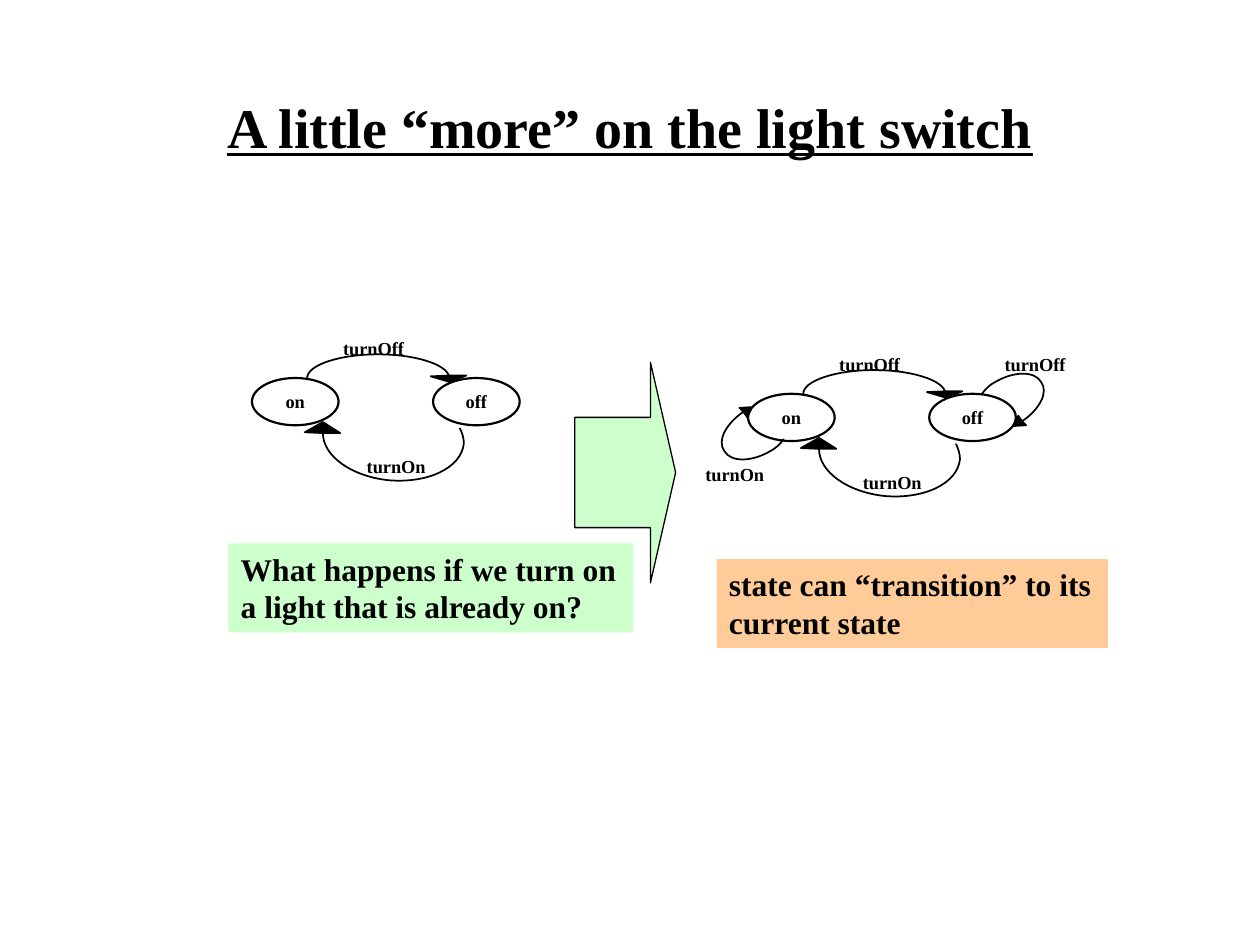
from pptx import Presentation
from pptx import util as u
from pptx.dml.color import RGBColor
from pptx.enum import shapes, text
from pptx.oxml import ns, xmlchemy

BLACK = RGBColor(0x00, 0x00, 0x00)
WHITE = RGBColor(0xFF, 0xFF, 0xFF)
GREEN = RGBColor(0xCC, 0xFF, 0xCC)
ORANGE = RGBColor(0xFF, 0xCC, 0x99)
FONT = "Times New Roman"

# The slide is a grid of 160 columns by 120 rows
CELL = u.Inches(1 / 16)
STATE_SIZE = (11, 6)
LABEL_SIZE = (11, 4.5)

# Each transition: a start, Bezier segments away from it, and the arrowhead there
TURN_OFF = (
    [(57, 47.7), (56.5, 46.2), (52.6, 45), (48, 45), (43, 45), (39, 46.4), (39, 48)],
    [(59.2, 47.7), (57.1, 48.5), (54.7, 47.8)],
)
TURN_ON = (
    [(41, 55), (41, 57.9), (44.6, 60.5), (49.4, 61), (54.4, 61.4), (58.6, 59.4),
     (58.9, 56.3), (58.9, 55.7), (58.7, 55), (58.4, 54.4)],
    [(38.7, 54.9), (41, 53.6), (43.2, 55)],
)
STAY_ON = (
    [(94.4, 52.3), (92.2, 53.8), (91, 56), (92, 57.3), (92.8, 58.7), (95.4, 58.7),
     (97.8, 57.3), (98.4, 57), (99, 56.5), (99.5, 55.8)],
    [(93.9, 51.8), (95.5, 51.7), (94.9, 53)],
)


def cells(*values):
    return [round(value * CELL) for value in values]


def write(shape, lines, size, align=None):
    frame = shape.text_frame
    frame.text = "\n".join(lines)
    for paragraph in frame.paragraphs:
        paragraph.alignment = align
        paragraph.font.name = FONT
        paragraph.font.size = u.Pt(size)
        paragraph.font.bold = True
        paragraph.font.color.rgb = BLACK
    return frame


def add_title(slide, title):
    shape = slide.shapes.title
    shape.left, shape.top, shape.width, shape.height = cells(12, 10.7, 136, 10.7)
    frame = write(shape, [title], 32, text.PP_ALIGN.CENTER)
    frame.vertical_anchor = text.MSO_ANCHOR.MIDDLE
    frame.paragraphs[0].font.underline = True


def add_text(slide, lines, column, row, extent=LABEL_SIZE, size=10.5, fill=None):
    box = slide.shapes.add_textbox(*cells(column, row, *extent))
    frame = write(box, lines, size)
    frame.word_wrap = False
    frame.auto_size = text.MSO_AUTO_SIZE.SHAPE_TO_FIT_TEXT
    if fill is not None:
        box.fill.solid()
        box.fill.fore_color.rgb = fill


def paint(shape, fill, line_width):
    shape.shadow.inherit = False
    shape.fill.solid()
    shape.fill.fore_color.rgb = fill
    shape.line.color.rgb = BLACK
    shape.line.width = u.Pt(line_width)


def add_state(slide, name, column, row):
    state = slide.shapes.add_shape(
        shapes.MSO_SHAPE.OVAL, *cells(column, row, *STATE_SIZE))
    paint(state, WHITE, 1.25)
    frame = write(state, [name], 10.5, text.PP_ALIGN.CENTER)
    frame.word_wrap = False
    frame.vertical_anchor = text.MSO_ANCHOR.MIDDLE


def bend_lines(shape, count):
    """Turn the first lines of a freeform, three at a time, into Bezier curves."""
    lines = list(shape.element.iter(ns.qn("a:lnTo")))[:count]
    for first in range(0, count, 3):
        curve = xmlchemy.OxmlElement("a:cubicBezTo")
        lines[first].addprevious(curve)
        for line in lines[first:first + 3]:
            curve.append(line[0])
            line.getparent().remove(line)


def add_transition(slide, transition, column=0, row=0, direction=1):
    # The curve runs out and back, so that only the arrowhead is filled
    points, head = transition
    there_and_back = points + points[-2::-1]
    outline = [cells(column + direction * x, row + direction * y)
               for x, y in there_and_back + head]
    builder = slide.shapes.build_freeform(*outline[0])
    builder.add_line_segments(outline[1:], close=True)
    shape = builder.convert_to_shape()
    bend_lines(shape, len(there_and_back) - 1)
    paint(shape, BLACK, 1)


def add_light_switch(slide, column=0, row=0):
    add_state(slide, "off", column + 55, row + 48)
    add_transition(slide, TURN_OFF, column, row)
    add_transition(slide, TURN_ON, column, row)
    add_text(slide, ["turnOff"], column + 42, row + 42)
    add_text(slide, ["turnOn"], column + 45, row + 57)
    add_state(slide, "on", column + 32, row + 48)


def main():
    presentation = Presentation()
    presentation.slide_width, presentation.slide_height = cells(160, 120)
    slide = presentation.slides.add_slide(presentation.slide_layouts[5])
    add_title(slide, "A little “more” on the light switch")

    # Switch before and after
    add_light_switch(slide)
    add_light_switch(slide, 63, 2)
    add_text(slide, ["What happens if we turn on", "a light that is already on?"],
             29, 69, (51.4, 11.3), 18, GREEN)

    # Self transitions, the second being the first turned by half a circle
    add_transition(slide, STAY_ON)
    add_text(slide, ["turnOn"], 88, 58)
    add_transition(slide, STAY_ON, 224.2, 105.8, -1)
    add_text(slide, ["turnOff"], 126, 44)
    add_text(slide, ["state can “transition” to its", "current state"],
             91, 71, (49.7, 11.3), 18, ORANGE)

    # Arrow from question to answer
    arrow = slide.shapes.add_shape(
        shapes.MSO_SHAPE.RIGHT_ARROW, *cells(73, 46, 12.8, 28))
    arrow.adjustments[0] = 0.5
    arrow.adjustments[1] = 0.25
    paint(arrow, GREEN, 0.75)

    presentation.save("out.pptx")


main()
